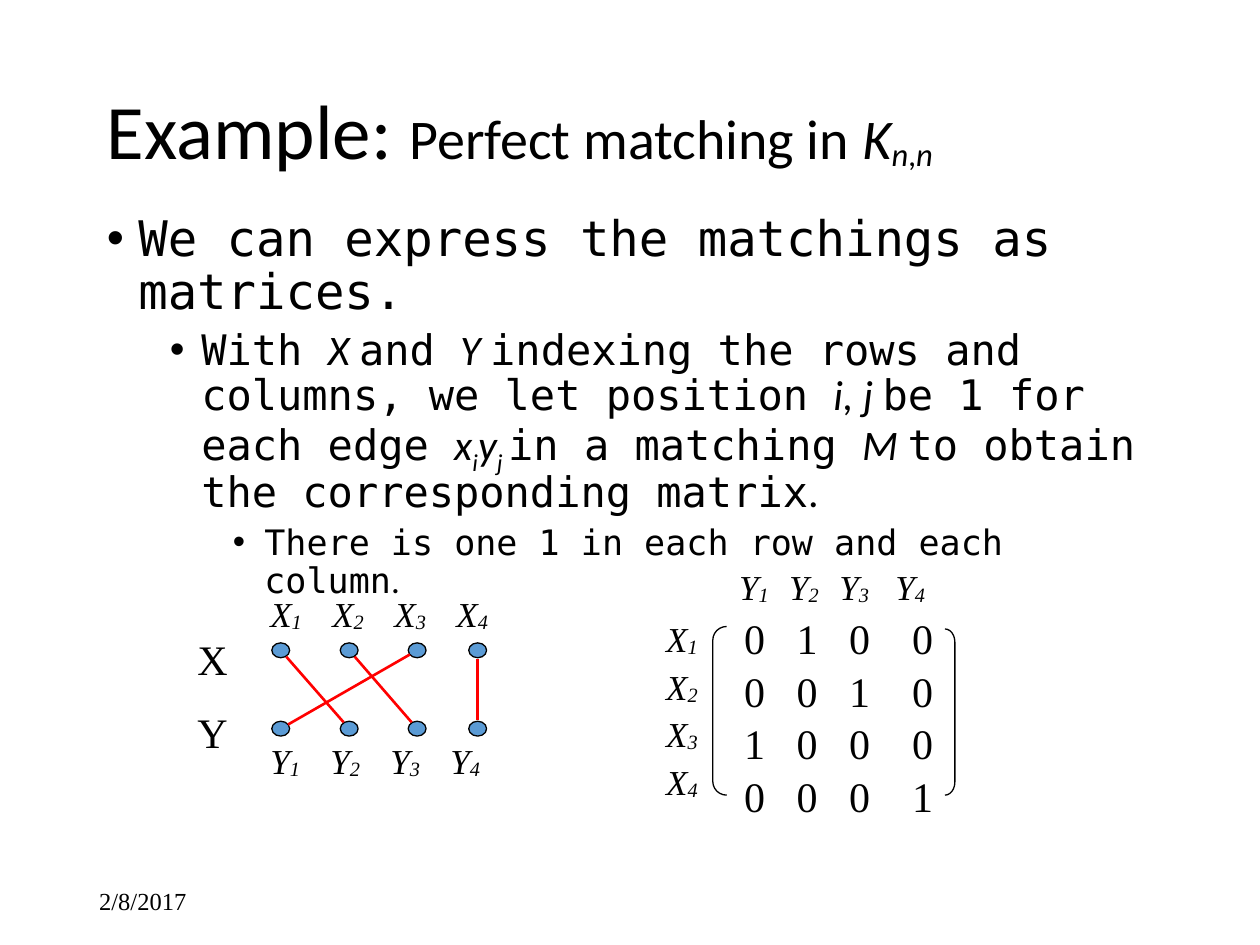
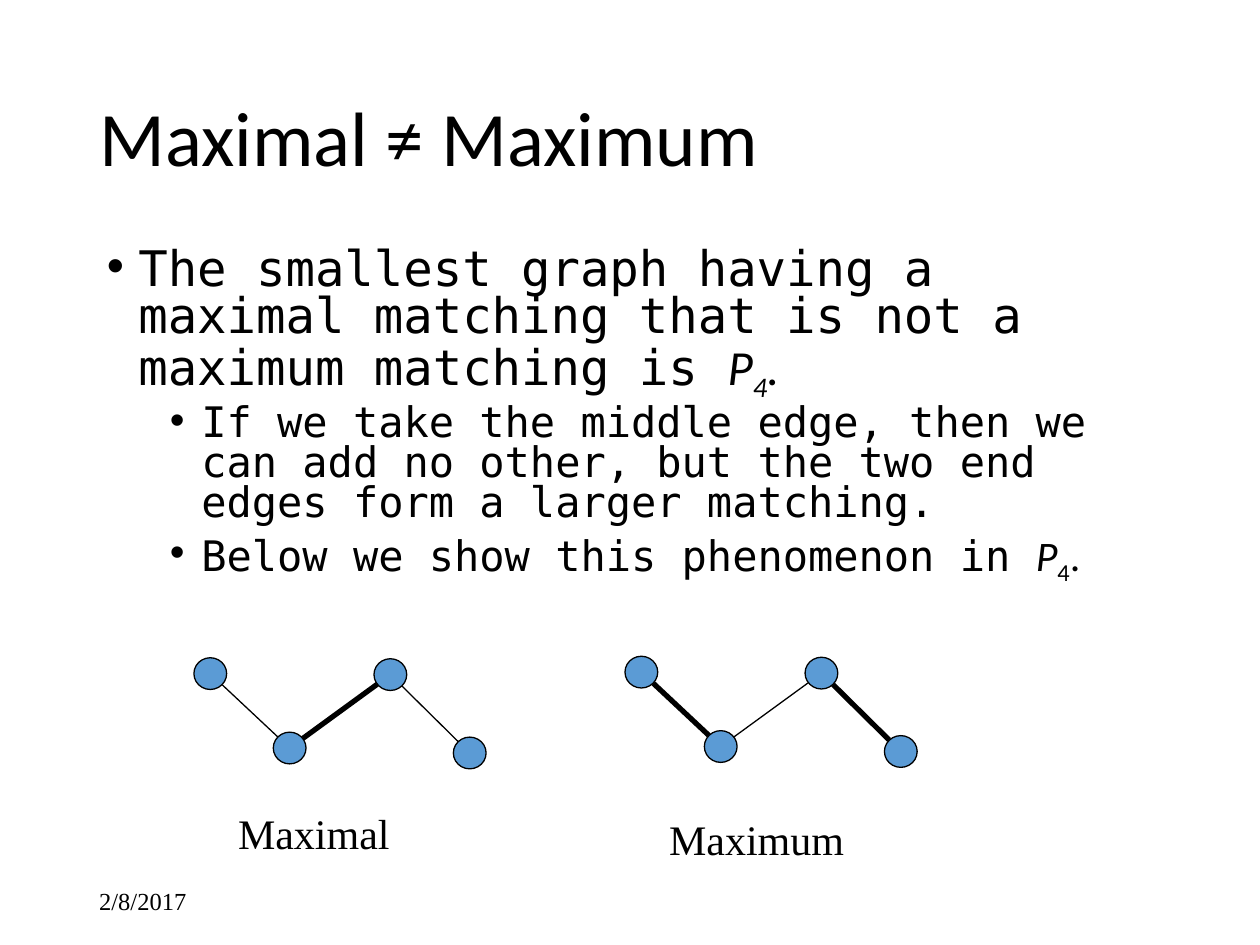
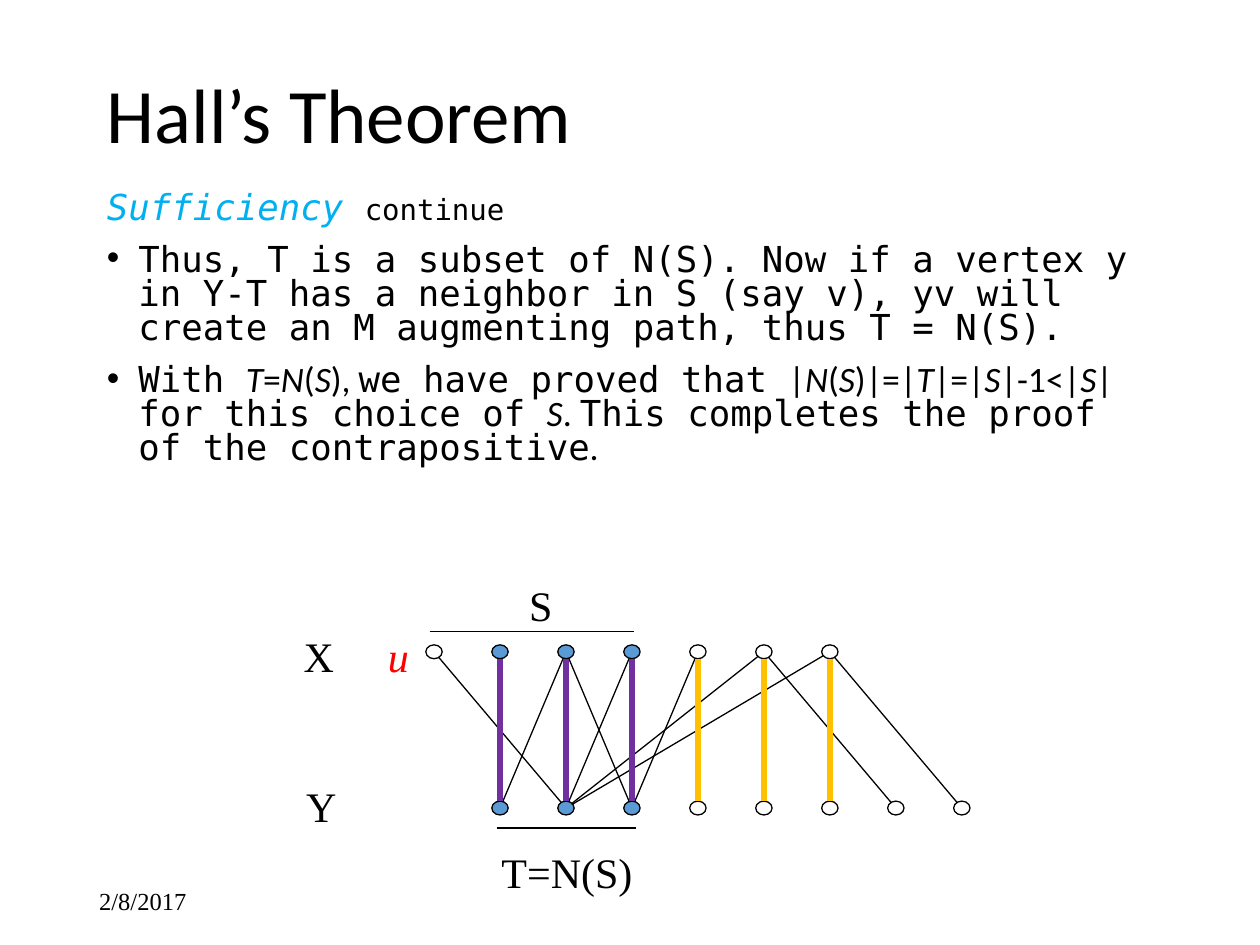
import math
from dataclasses import dataclass

import lxml.etree
import pptx
import pptx.dml.color
import pptx.enum.shapes
import pptx.enum.text
import pptx.oxml.ns
import pptx.util

Cm, Pt = pptx.util.Cm, pptx.util.Pt
SHAPE = pptx.enum.shapes.MSO_SHAPE
SANS, MONO, SERIF = "Calibri", "DejaVu Sans Mono", "Times New Roman"
BLACK, RED, BLUE = "000000", "FF0000", "5B9BD5"
CYAN, PURPLE, GOLD = "00B0F0", "7030A0", "FFC000"
DATE = "2/8/2017"
LEVEL_SIZES = (28, 24, 20)
LEVEL_SPACE = (10, 5, 5)


@dataclass
class Box:
    """A rectangle in centimetres."""
    left: float
    top: float
    width: float
    height: float

    def inner(self, left, top, width, height):
        """Return a box placed relative to this one."""
        return Box(self.left + left, self.top + top, width, height)

    def point(self, x, y):
        """Return a point placed relative to this box."""
        return self.left + x, self.top + y

    def lengths(self):
        """Return the four lengths of the box."""
        return [Cm(n) for n in (self.left, self.top, self.width, self.height)]


@dataclass
class Span:
    """A piece of text that departs from its paragraph's font."""
    text: str
    face: str = None
    italic: bool = None
    baseline: int = 0
    size: float = None
    color: str = None


def math_text(text, baseline=0):
    """Return an italic span in the sans face."""
    return Span(text, SANS, True, baseline)


def sans(text, baseline=0):
    """Return an upright span in the sans face."""
    return Span(text, SANS, False, baseline)


def rgb(value):
    """Turn a hex string into a colour."""
    return pptx.dml.color.RGBColor.from_string(value)


def add_xml(parent, tag, **attributes):
    """Append a DrawingML element."""
    return lxml.etree.SubElement(parent, pptx.oxml.ns.qn("a:" + tag), attributes)


def set_font(font, face, size, color=BLACK, italic=None):
    """Format the font of a paragraph."""
    font.name, font.size, font.italic = face, Pt(size), italic
    font.color.rgb = rgb(color)


def add_spans(paragraph, spans):
    """Add plain strings and spans as runs."""
    for span in spans:
        span = Span(span) if isinstance(span, str) else span
        run = paragraph.add_run()
        run.text = span.text
        if span.face:
            run.font.name = span.face
        if span.italic is not None:
            run.font.italic = span.italic
        if span.size:
            run.font.size = Pt(span.size)
        if span.color:
            run.font.color.rgb = rgb(span.color)
        if span.baseline:
            run._r.get_or_add_rPr().set("baseline", str(span.baseline * 1000))


def paragraphs(frame, count):
    """Return the first paragraph of a frame followed by new ones."""
    return [frame.paragraphs[0]] + [frame.add_paragraph() for _ in range(count - 1)]


def place(placeholder, box, anchor):
    """Move a placeholder and return its text frame."""
    placeholder.left, placeholder.top, placeholder.width, placeholder.height = box.lengths()
    frame = placeholder.text_frame
    frame.auto_size = pptx.enum.text.MSO_AUTO_SIZE.NONE
    frame.vertical_anchor = anchor
    return frame


def add_text(slide, box, lines, size=24, color=BLACK, italic=None, stops=(),
             line_spacing=1.0, before=0, after=0, anchor=pptx.enum.text.MSO_ANCHOR.TOP):
    """Add a serif text box with one paragraph for each line of spans."""
    frame = slide.shapes.add_textbox(*box.lengths()).text_frame
    frame.word_wrap = True
    frame.vertical_anchor = anchor
    for index, (paragraph, spans) in enumerate(zip(paragraphs(frame, len(lines)), lines)):
        if stops:
            tabs = add_xml(paragraph._p.get_or_add_pPr(), "tabLst")
            for stop in stops:
                add_xml(tabs, "tab", pos=str(Cm(stop)), algn="l")
        paragraph.line_spacing = line_spacing
        paragraph.space_before = Pt(before if index else 0)
        paragraph.space_after = Pt(after)
        set_font(paragraph.font, SERIF, size, color, italic)
        add_spans(paragraph, spans)


def add_frame(deck, title_box, title):
    """Add a slide with its title and date."""
    slide = deck.slides.add_slide(deck.slide_layouts[1])
    frame = place(slide.shapes.title, title_box, pptx.enum.text.MSO_ANCHOR.MIDDLE)
    paragraph = frame.paragraphs[0]
    paragraph.alignment = pptx.enum.text.PP_ALIGN.LEFT
    paragraph.line_spacing = 0.9
    set_font(paragraph.font, SANS, 44)
    add_spans(paragraph, title)
    add_text(slide, Box(1.75, 17.65, 5.72, 1.02), [[DATE]], 14,
             anchor=pptx.enum.text.MSO_ANCHOR.MIDDLE)
    return slide


def add_body(slide, box, items, line_spacing, sizes=LEVEL_SIZES):
    """Fill the body placeholder with (level, bulleted, spans) items."""
    frame = place(slide.placeholders[1], box, pptx.enum.text.MSO_ANCHOR.TOP)
    for paragraph, (level, bulleted, spans) in zip(paragraphs(frame, len(items)), items):
        properties = paragraph._p.get_or_add_pPr()
        properties.set("marL", str(Cm(0.635 + 1.27 * level)))
        properties.set("indent", str(Cm(-0.635)))
        if bulleted:
            add_xml(properties, "buChar", char="•")
        else:
            add_xml(properties, "buNone")
        paragraph.level = level
        paragraph.line_spacing = line_spacing
        paragraph.space_before = Pt(LEVEL_SPACE[level])
        set_font(paragraph.font, MONO, sizes[level])
        add_spans(paragraph, spans)


def add_outline(slide, kind, box, fill=None):
    """Add a thin black preset shape, filled or hollow."""
    shape = slide.shapes.add_shape(kind, *box.lengths())
    shape.shadow.inherit = False
    if fill:
        shape.fill.solid()
        shape.fill.fore_color.rgb = rgb(fill)
    else:
        shape.fill.background()
    shape.line.color.rgb = rgb(BLACK)
    shape.line.width = Pt(0.75)
    return shape


def add_node(slide, center, width, height, fill=BLUE):
    """Add a vertex around its centre."""
    x, y = center
    add_outline(slide, SHAPE.OVAL, Box(x - width / 2, y - height / 2, width, height), fill)


def add_edge(slide, start, end, gap=0, color=BLACK, weight=0.75):
    """Join two points, stopping short of each by the gap."""
    (x1, y1), (x2, y2) = start, end
    share = gap / math.dist(start, end)
    dx, dy = (x2 - x1) * share, (y2 - y1) * share
    line = slide.shapes.add_connector(
        pptx.enum.shapes.MSO_CONNECTOR.STRAIGHT,
        Cm(x1 + dx), Cm(y1 + dy), Cm(x2 - dx), Cm(y2 - dy))
    line.line.color.rgb = rgb(color)
    line.line.width = Pt(weight)
    add_xml(line._element.spPr, "effectLst")


def indexed(letter, index, tail=""):
    """Return the spans of a letter with a lowered index."""
    return [letter, Span(f"{index}{tail}", baseline=-6)]


def add_index_row(slide, box, letter, stops):
    """Add a row of indexed letters set on tab stops."""
    count = len(stops) + 1
    spans = [span for i in range(1, count + 1)
             for span in indexed(letter, i, "\t" if i < count else "")]
    add_text(slide, box, [spans], 20, italic=True, stops=stops)


def add_matching(slide, box, matching):
    """Draw a perfect matching between X and Y."""
    columns = (1.93, 3.31, 4.68, 5.9)
    x_row, y_row = [[box.point(x, y) for x in columns] for y in (1.3, 2.88)]
    for center in x_row + y_row:
        add_node(slide, center, 0.36, 0.3)
    for start, target in zip(x_row, matching):
        add_edge(slide, start, y_row[target - 1], 0.17, RED, 1.5)
    add_text(slide, box.inner(0, 0.84, 1.4, 2.79), [["X"], ["Y"]], before=13)
    for letter, top, step in (("X", 0, 1.25), ("Y", 2.97, 1.21)):
        add_index_row(slide, box.inner(1.47, top, 5.84, 1.09), letter,
                      [step * i for i in (1, 2, 3)])


def add_matrix(slide, box, matching):
    """Write the matrix of a matching with its row and column names."""
    size = len(matching)
    rows = [["\t".join(str(int(column == target)) for column in range(1, size + 1))]
            for target in matching]
    add_text(slide, box.inner(1.57, 0.91, 4.95, 4.32), rows,
             stops=(1.06, 2.12, 3.39), line_spacing=1.04)
    for kind, place_box, curve in (
            (SHAPE.LEFT_BRACKET, box.inner(1.19, 1.35, 0.28, 3.4), 0.98),
            (SHAPE.RIGHT_BRACKET, box.inner(5.87, 1.4, 0.2, 3.35), 1.32)):
        add_outline(slide, kind, place_box).adjustments[0] = curve
    add_index_row(slide, box.inner(1.47, 0, 5.84, 1.09), "Y", (1.01, 2.02, 3.15))
    add_text(slide, box.inner(0, 1.04, 1.4, 3.89),
             [indexed("X", i) for i in range(1, size + 1)], 20, italic=True, after=3.3)


def add_four_path(slide, box, caption, caption_top, matched):
    """Draw a path on four vertices with its matched edges bold."""
    vertices = [box.point(*at) for at in ((0.33, 0.32), (1.93, 1.82), (3.96, 0.34), (5.56, 1.92))]
    for center in vertices:
        add_node(slide, center, 0.66, 0.64)
    for index, (start, end) in enumerate(zip(vertices, vertices[1:])):
        add_edge(slide, start, end, 0.33, weight=3 if index in matched else 0.75)
    add_text(slide, box.inner(0.64, caption_top, 5.61, 1.27), [[caption]])


def add_hall_graph(slide, box):
    """Draw the bipartite graph with the sets S and T marked."""
    x_row = {i: box.point(2.88 + 1.33 * i, 1.58) for i in range(7)}
    y_row = {i: box.point(2.88 + 1.33 * i, 4.73) for i in range(1, 9)}
    for row in (x_row, y_row):
        for column, center in row.items():
            add_node(slide, center, 0.33, 0.28, BLUE if column in (1, 2, 3) else None)
    for x, y in ((0, 2), (2, 1), (2, 3), (3, 2), (4, 3), (6, 2), (5, 2), (6, 8), (5, 7)):
        add_edge(slide, x_row[x], y_row[y], 0.14)
    for column in range(1, 7):
        add_edge(slide, x_row[column], y_row[column], 0.14,
                 PURPLE if column <= 3 else GOLD, 3)
    add_edge(slide, box.point(2.79, 1.17), box.point(6.91, 1.17))
    add_edge(slide, box.point(4.14, 5.13), box.point(6.96, 5.13))
    for label, left, top in (("S", 4.55, 0), ("X", 0, 1.02), ("Y", 0.05, 4.04)):
        add_text(slide, box.inner(left, top, 1.19, 1.27), [[label]])
    add_text(slide, box.inner(1.7, 1.02, 1.19, 1.27), [["u"]], color=RED, italic=True)
    add_text(slide, box.inner(3.99, 5.38, 3.3, 1.27), [["T=N(S)"]])


def build_matrix_slide(deck):
    """Build the slide on matchings as matrices."""
    slide = add_frame(deck, Box(1.9, 1.7, 21.59, 2.03), [
        "Example: ", Span("Perfect matching in ", size=32), Span("K", italic=True, size=32),
        Span("n", italic=True, baseline=-12, size=32), Span(",", baseline=-12, size=32),
        Span("n", italic=True, baseline=-12, size=32)])
    add_body(slide, Box(1.9, 4.19, 21.59, 6.71), [
        (0, True, ["We can express the matchings as matrices."]),
        (1, True, ["With ", math_text("X "), "and ", math_text("Y "),
                   "indexing the rows and columns, we let position ", math_text("i, j "),
                   "be 1 for each edge ", math_text("x"), math_text("i", -25),
                   math_text("y"), math_text("j ", -25), "in a matching ", math_text("M "),
                   "to obtain the corresponding matrix", sans(".")]),
        (2, True, ["There is one 1 in each row and each column", sans(".")])], 0.9)
    matching = (2, 3, 1, 4)
    add_matching(slide, Box(3.73, 11.81, 7.32, 4.06), matching)
    add_matrix(slide, Box(13.18, 11.28, 7.32, 5.23), matching)


def build_maximal_slide(deck):
    """Build the slide on maximal and maximum matchings."""
    slide = add_frame(deck, Box(1.75, 1.02, 21.89, 3.68), ["Maximal ≠ Maximum"])
    add_body(slide, Box(1.9, 4.88, 21.59, 6.35), [
        (0, True, ["The smallest graph having a maximal matching that is not a maximum "
                   "matching is ", math_text("P"), math_text("4", -25), math_text(".")]),
        (1, True, ["If we take the middle edge, then we can add no other, but the two end "
                   "edges form a larger matching."]),
        (1, True, ["Below we show this phenomenon in ", math_text("P"), sans("4", -25),
                   sans(".")])], 0.8)
    add_four_path(slide, Box(3.91, 13.26, 5.89, 4.17), "Maximal", 2.9, {1})
    add_four_path(slide, Box(12.6, 13.23, 5.89, 4.32), "Maximum", 3.05, {0, 2})


def build_hall_slide(deck):
    """Build the slide on the sufficiency part of the theorem."""
    slide = add_frame(deck, Box(1.9, 1.12, 21.59, 2.54), ["Hall’s Theorem"])
    claim = [math_text(part) if part.isalpha() else sans(part)
             for part in ("|", "N", "(", "S", ")|=|", "T", "|=|", "S", "|-1<|", "S", "| ")]
    add_body(slide, Box(1.9, 3.76, 21.59, 5.11), [
        (0, False, [Span("Sufficiency ", italic=True, color=CYAN),
                    Span("continue", size=16.6)]),
        (0, True, ["Thus, T is a subset of N(S). Now if a vertex y in Y-T has a neighbor in S "
                   "(say v), yv will create an M augmenting path, thus T = N(S)."]),
        (0, True, ["With ", math_text("T"), sans("="), math_text("N"), sans("("),
                   math_text("S"), sans("), "), "we have proved that ", *claim,
                   "for this choice of ", math_text("S"), sans(". "),
                   "This completes the proof of the contrapositive", sans(".")])],
        0.8, sizes=(20.4,))
    add_hall_graph(slide, Box(5.87, 11.56, 13.72, 6.65))


def main():
    """Build and save the presentation."""
    deck = pptx.Presentation()
    deck.slide_width, deck.slide_height = Cm(25.4), Cm(19.05)
    build_matrix_slide(deck)
    build_maximal_slide(deck)
    build_hall_slide(deck)
    deck.save("out.pptx")


main()
